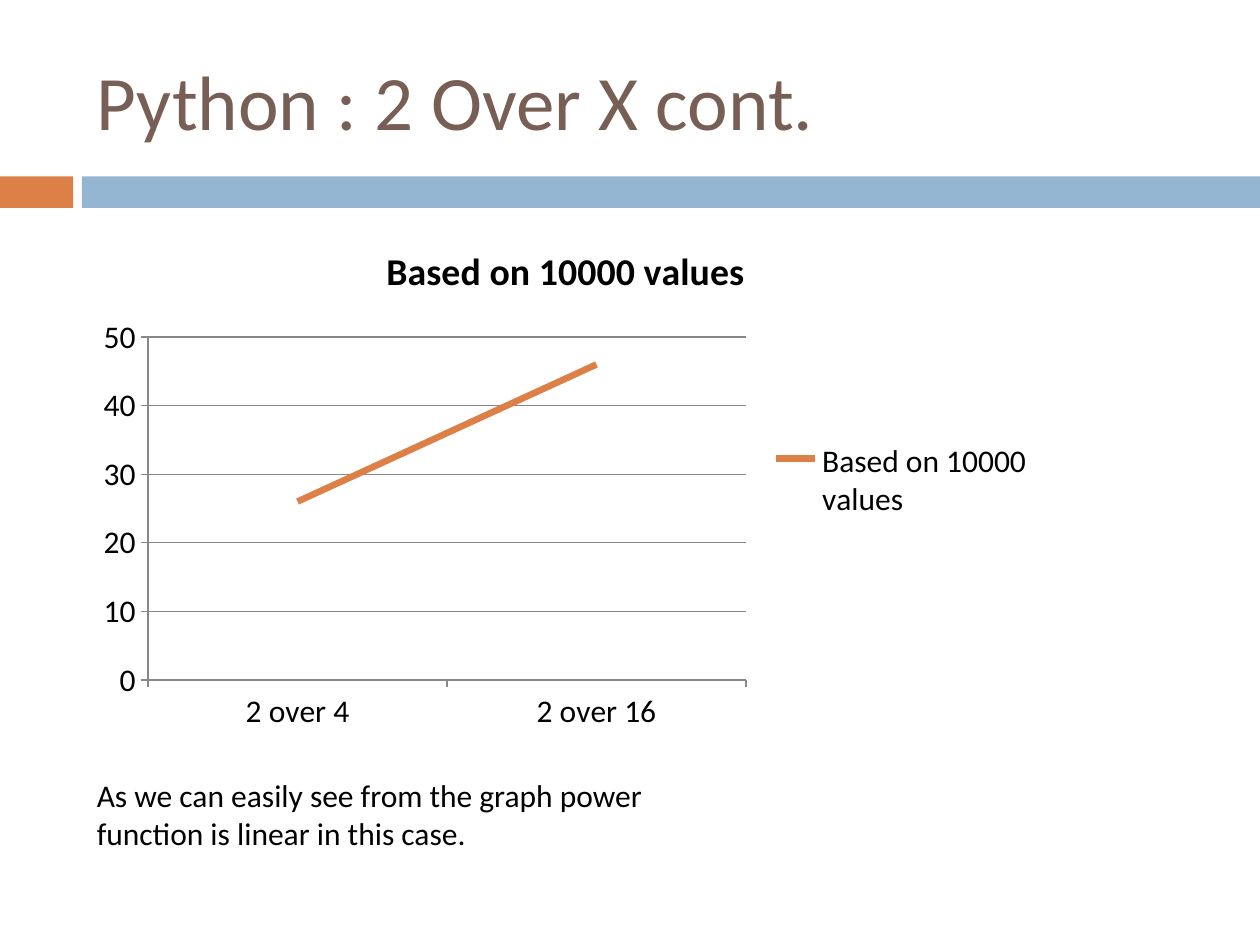
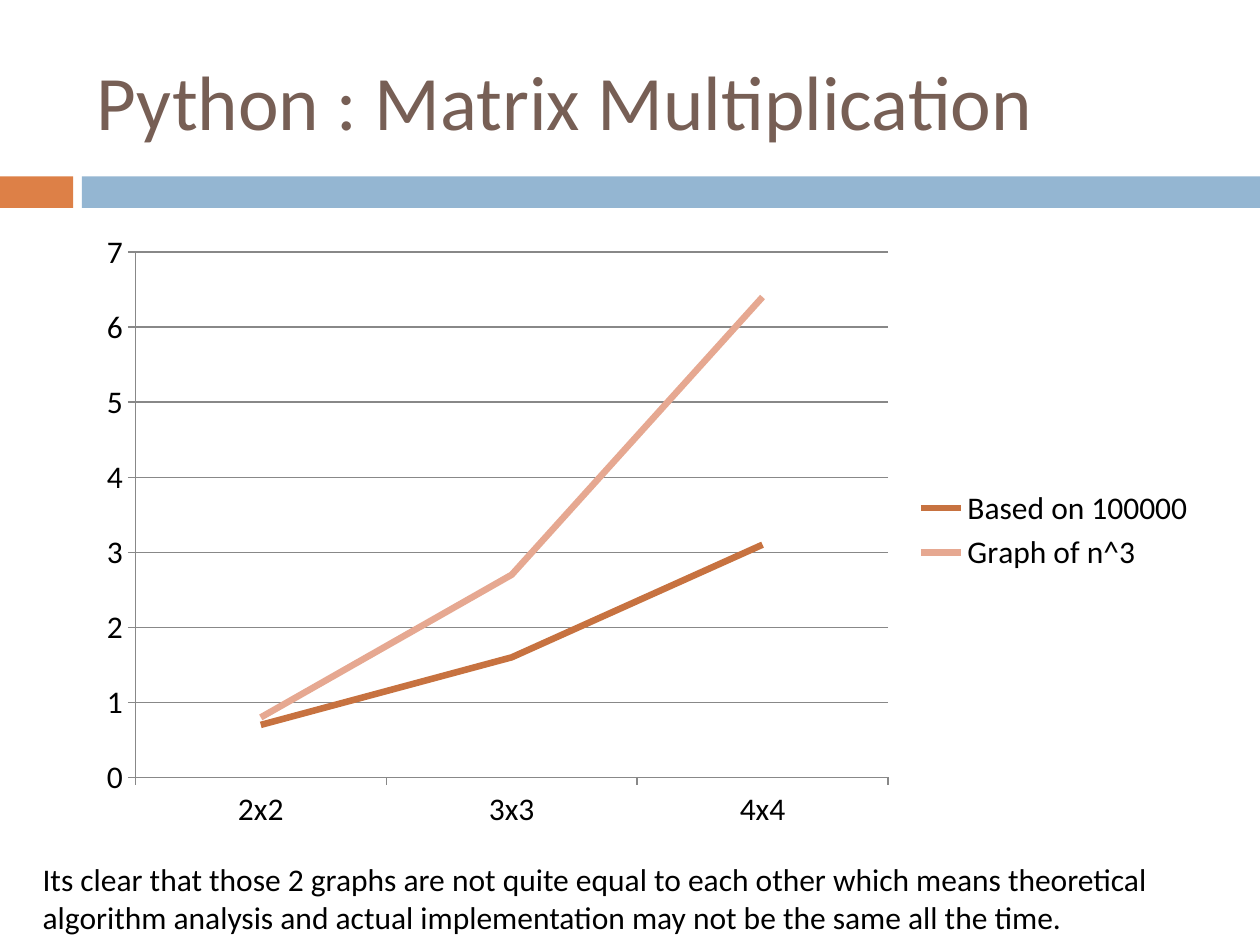
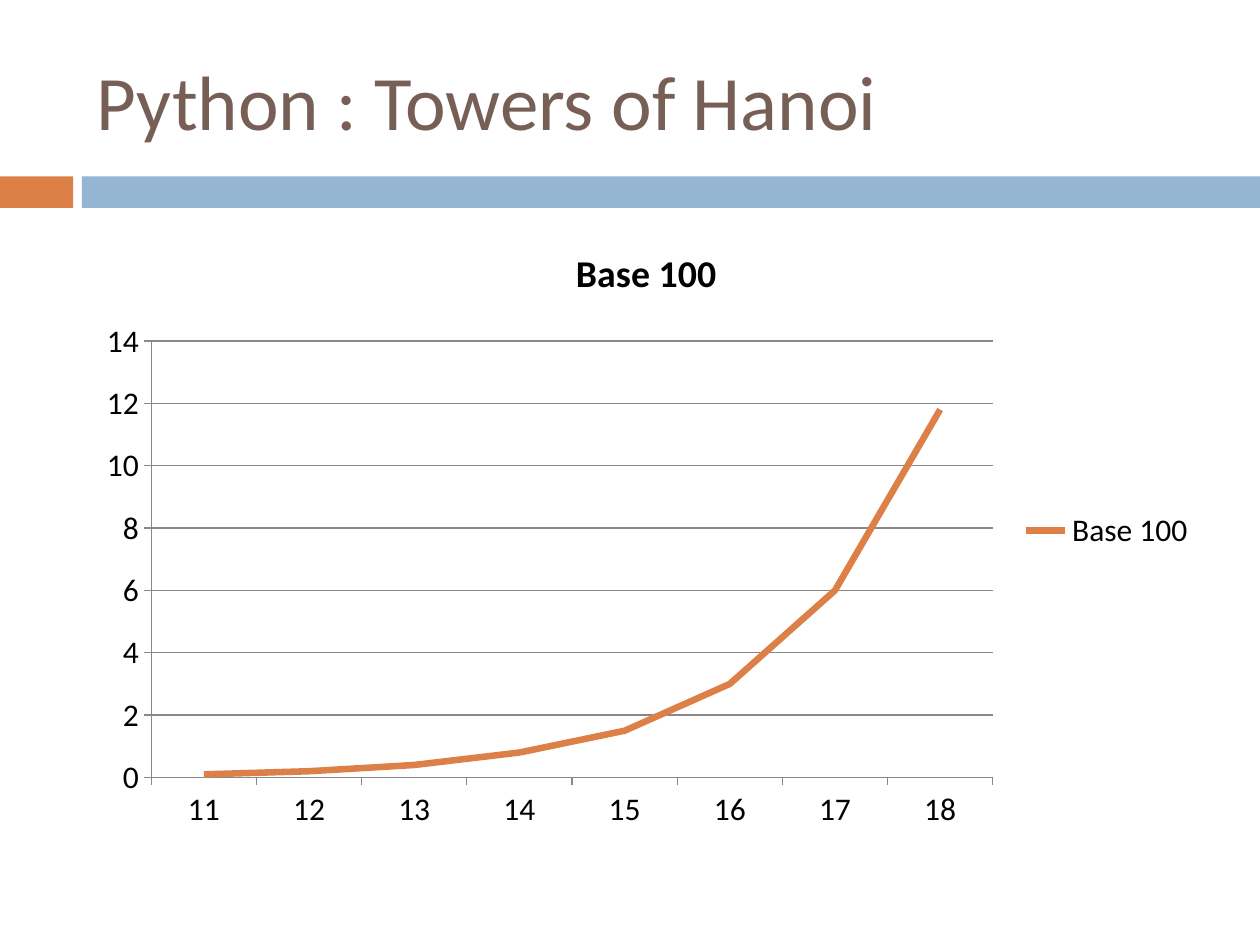
from pptx import Presentation
from pptx.chart.data import CategoryChartData
from pptx.dml.color import RGBColor
from pptx.enum.chart import XL_CHART_TYPE, XL_LEGEND_POSITION, XL_MARKER_STYLE, XL_TICK_MARK
from pptx.enum.shapes import MSO_SHAPE
from pptx.enum.text import MSO_ANCHOR, MSO_AUTO_SIZE
from pptx.util import Inches, Pt

LINE = XL_CHART_TYPE.LINE
LEGEND_RIGHT = XL_LEGEND_POSITION.RIGHT
NO_MARKER = XL_MARKER_STYLE.NONE
TICK_OUT = XL_TICK_MARK.OUTSIDE
TICK_NONE = XL_TICK_MARK.NONE
RECTANGLE = MSO_SHAPE.RECTANGLE
TOP, MIDDLE = MSO_ANCHOR.TOP, MSO_ANCHOR.MIDDLE
GROW, FIXED = MSO_AUTO_SIZE.SHAPE_TO_FIT_TEXT, MSO_AUTO_SIZE.NONE

FONT = "Calibri"
COLORS = {
    "background": "FFFFFF",
    "title": "775F55",
    "body": "000000",
    "accent": "DD8047",
    "band": "94B6D2",
    "grid": "888888",
    "measured": "C77240",
    "theory": "E6A891",
}
LEFT = 0.67
CONTENT_TOP = 1.75
CONTENT_WIDTH = 8.92
CHART_AREA = (LEFT, CONTENT_TOP, CONTENT_WIDTH, 4.92)


def color(name):
    return RGBColor.from_string(COLORS[name])


def style_font(font, size=18, fill="body", bold=False):
    font.name = FONT
    font.size = Pt(size)
    font.bold = bold
    font.color.rgb = color(fill)


def write(frame, text, anchor=TOP, autosize=FIXED, **font_format):
    frame.word_wrap = True
    frame.auto_size = autosize
    frame.vertical_anchor = anchor
    run = frame.paragraphs[0].add_run()
    run.text = text
    style_font(run.font, **font_format)


class Deck:
    def __init__(self):
        self.presentation = Presentation()
        self.presentation.slide_width = Inches(10)
        self.presentation.slide_height = Inches(7.5)
        self.slide = None

    def start_slide(self, title):
        blank = self.presentation.slide_layouts[6]
        self.slide = self.presentation.slides.add_slide(blank)
        backdrop = self.slide.background.fill
        backdrop.solid()
        backdrop.fore_color.rgb = color("background")
        self.band(0, 0.58, "accent")
        self.band(0.65, 9.35, "band")
        self.text(title, (LEFT, 0.25, CONTENT_WIDTH, 1.08),
                  anchor=MIDDLE, size=44, fill="title")

    def band(self, left, width, fill):
        strip = self.slide.shapes.add_shape(
            RECTANGLE, Inches(left), Inches(1.4), Inches(width), Inches(0.25))
        strip.shadow.inherit = False
        strip.fill.solid()
        strip.fill.fore_color.rgb = color(fill)
        strip.line.fill.background()

    def text(self, text, area, **text_format):
        box = self.slide.shapes.add_textbox(*map(Inches, area))
        write(box.text_frame, text, **text_format)

    def line_chart(self, area, categories, series, maximum, step, title=None):
        data = CategoryChartData()
        data.categories = categories
        for name, values, _ in series:
            data.add_series(name, values)
        chart = self.slide.shapes.add_chart(LINE, *map(Inches, area), data).chart
        style_font(chart.font)
        chart.has_title = title is not None
        if title:
            write(chart.chart_title.text_frame, title, size=21.6, bold=True)
            chart.chart_title.include_in_layout = False
        chart.has_legend = True
        chart.legend.position = LEGEND_RIGHT
        chart.legend.include_in_layout = False

        scale = chart.value_axis
        scale.minimum_scale = 0
        scale.maximum_scale = maximum
        scale.major_unit = step
        scale.has_major_gridlines = True
        for axis in (chart.category_axis, scale):
            axis.major_tick_mark = TICK_OUT
            axis.minor_tick_mark = TICK_NONE
            self.rule(axis.format.line, "grid", 0.75)
        self.rule(scale.major_gridlines.format.line, "grid", 0.75)

        plot = chart.plots[0]
        plot.vary_by_categories = False
        for curve, (_, _, stroke) in zip(plot.series, series):
            curve.smooth = False
            curve.marker.style = NO_MARKER
            self.rule(curve.format.line, stroke, 3.75)

    def rule(self, line, stroke, width):
        line.color.rgb = color(stroke)
        line.width = Pt(width)


def main():
    deck = Deck()

    deck.start_slide("Python : 2 Over X cont.")
    power_name = "Based on 10000 values"
    deck.line_chart((LEFT, CONTENT_TOP, 7.64, 4.13), ["2 over 4", "2 over 16"],
                    [(power_name, [26, 46], "accent")],
                    maximum=50, step=10, title=power_name)
    deck.text("As we can easily see from the graph power function is linear in this case.",
              (LEFT, 6.11, 5, 0.71), autosize=GROW)

    deck.start_slide("Python : Matrix Multiplication")
    deck.line_chart(CHART_AREA, ["2x2", "3x3", "4x4"],
                    [("Based on 100000", [0.7, 1.6, 3.1], "measured"),
                     ("Graph of n^3", [0.8, 2.7, 6.4], "theory")],
                    maximum=7, step=1)
    deck.text("Its clear that those 2 graphs are not quite equal to each other which means "
              "theoretical algorithm analysis and actual implementation may not be the same "
              "all the time.", (0.24, 6.78, 9.76, 0.71), autosize=GROW)

    deck.start_slide("Python : Towers of Hanoi")
    hanoi_name = "Base 100"
    deck.line_chart(CHART_AREA, [str(disks) for disks in range(11, 19)],
                    [(hanoi_name, [0.1, 0.2, 0.4, 0.8, 1.5, 3, 6, 11.8], "accent")],
                    maximum=14, step=2, title=hanoi_name)

    deck.presentation.save("out.pptx")


if __name__ == "__main__":
    main()
